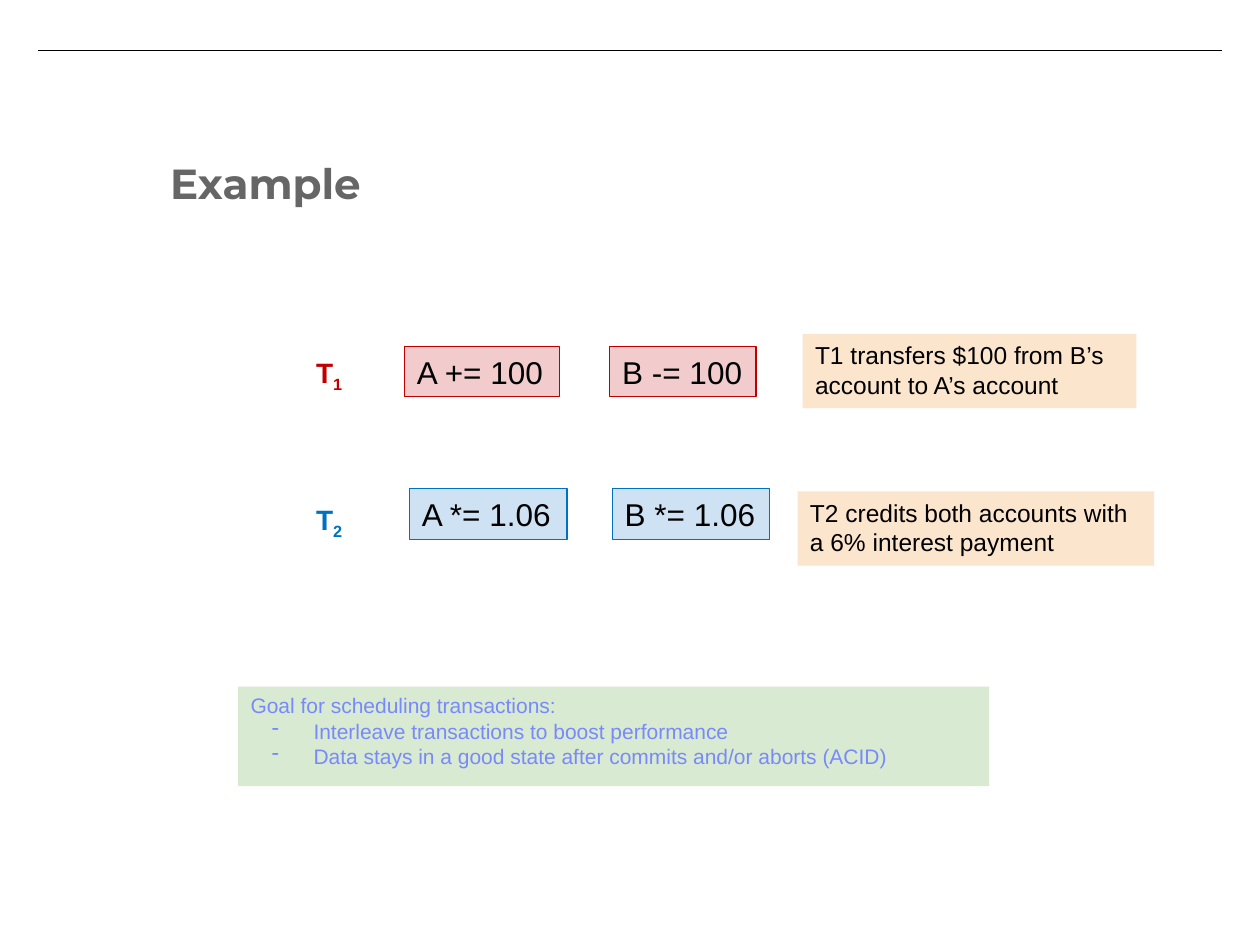
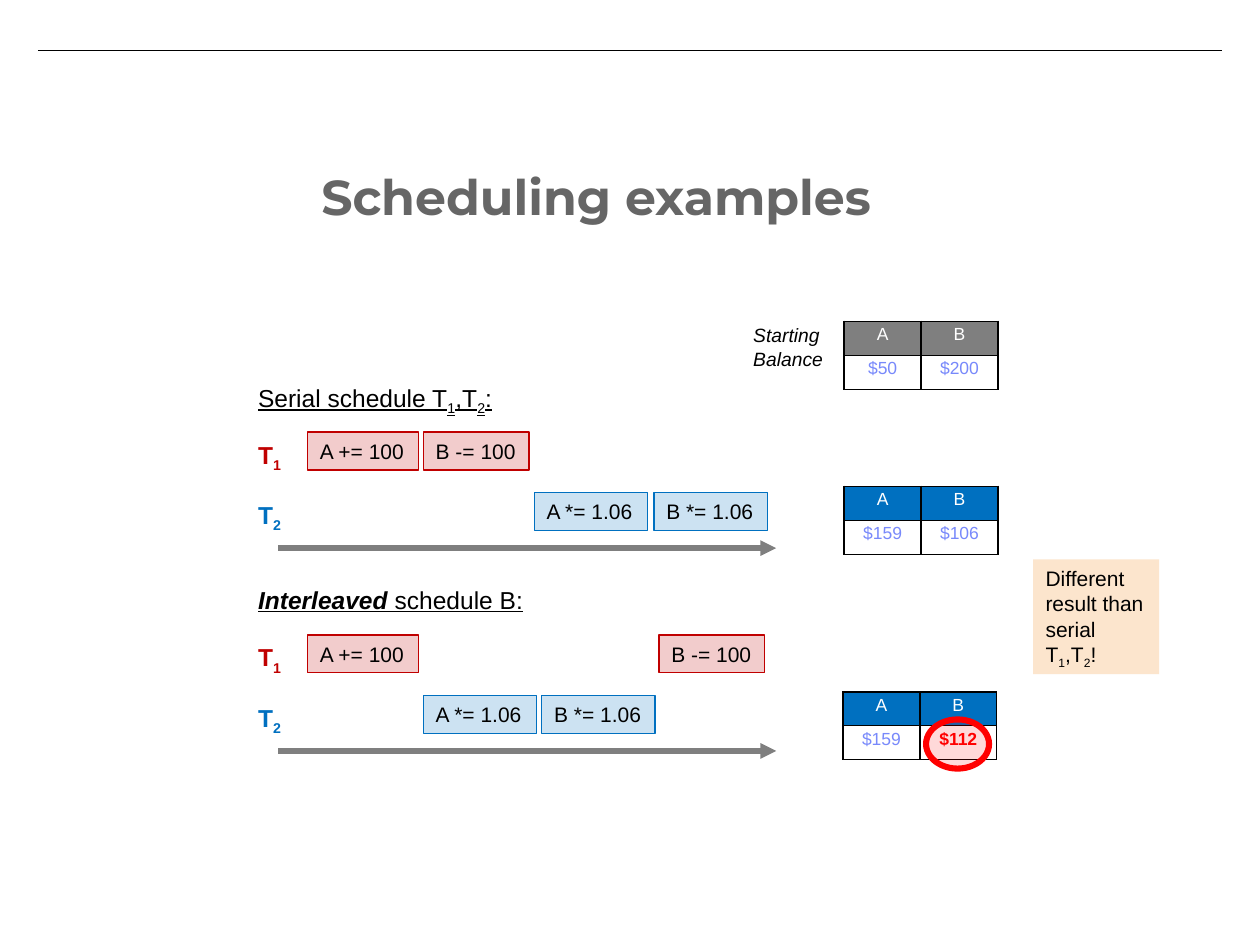
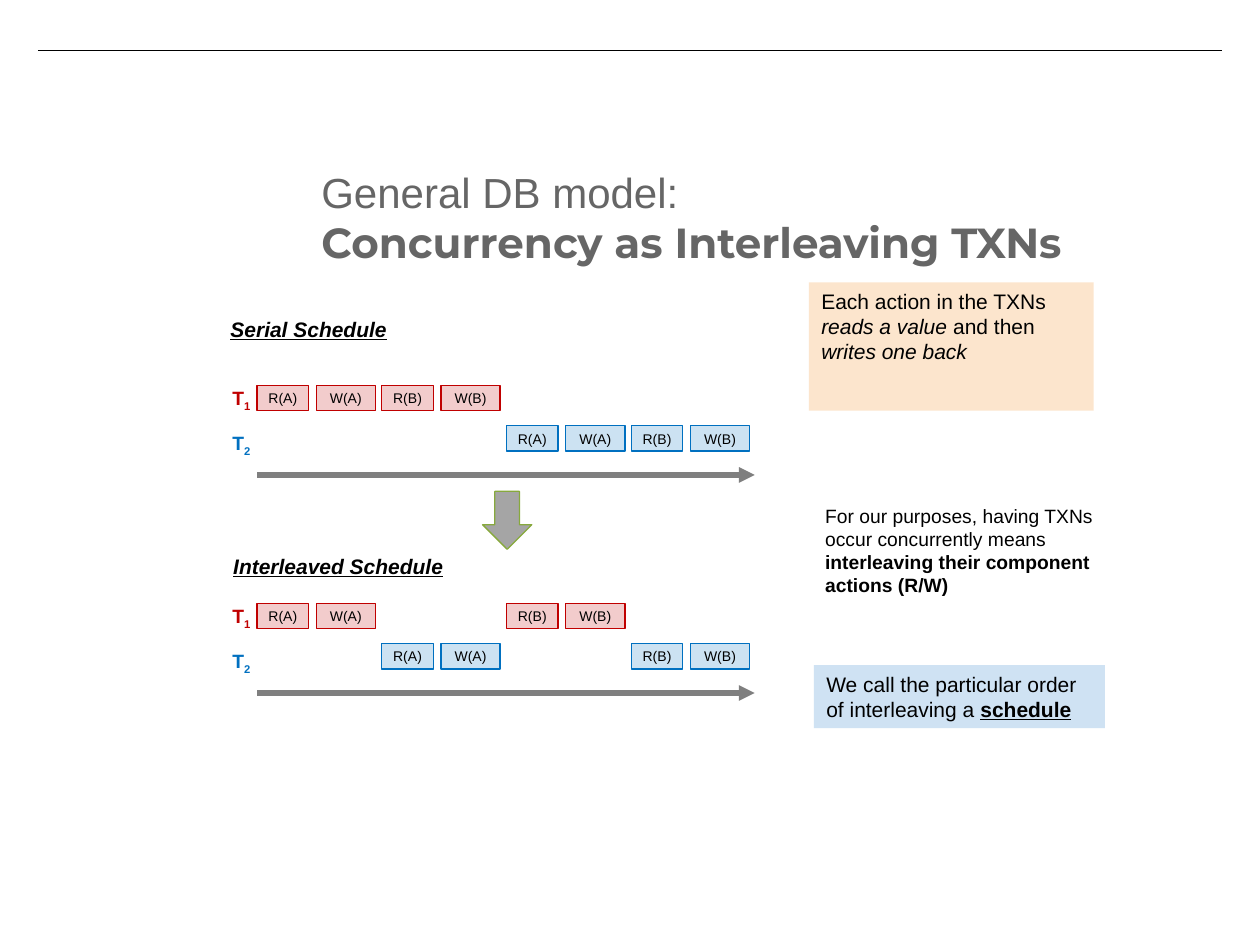
import pptx
import pptx.dml.color
import pptx.enum.shapes
import pptx.enum.text
import pptx.oxml.ns
import pptx.util
from lxml import etree

Inches, Pt = pptx.util.Inches, pptx.util.Pt
RGB = pptx.dml.color.RGBColor.from_string
SHAPE = pptx.enum.shapes.MSO_SHAPE
STRAIGHT = pptx.enum.shapes.MSO_CONNECTOR.STRAIGHT
ALIGN = pptx.enum.text.PP_ALIGN
ANCHOR = pptx.enum.text.MSO_ANCHOR
qn = pptx.oxml.ns.qn

C = {
    "black": "000000", "white": "FFFFFF", "title": "666666", "grey": "7F7F7F",
    "t1": "C00000", "t2": "0070C0", "alert": "FF0000", "lilac": "7889FB",
    "peach": "FCE5CD", "sky": "CFE2F3", "mint": "D9EAD3",
    "arrow": "A5A5A5", "arrow edge": "87A93D",
}


def write(tf, text, size=12, color="black", font="Arial", bold=False,
          align=ALIGN.LEFT, bullet_from=None):
    """Fill tf with paragraphs: strings or lists of (text, flags), where the
    flags are b(old), i(talic), u(nderline) and s(ubscript)."""
    for n, runs in enumerate([text] if isinstance(text, str) else text):
        p = tf.paragraphs[0] if n == 0 else tf.add_paragraph()
        p.alignment = align
        if bullet_from is not None and n >= bullet_from:
            pPr = p._p.get_or_add_pPr()
            pPr.set("marL", str(Inches(0.5)))
            pPr.set("indent", str(Inches(-0.33)))
            etree.SubElement(pPr, qn("a:buChar")).set("char", "-")
        for words, flags in [(runs, "")] if isinstance(runs, str) else runs:
            r = p.add_run()
            r.text = words
            r.font.name, r.font.size = font, Pt(size)
            r.font.color.rgb = RGB(C[color])
            r.font.bold = bold or "b" in flags
            r.font.italic = "i" in flags
            r.font.underline = "u" in flags
            if "s" in flags:
                r.font._element.set("baseline", "-25000")


def box(slide, x, y, w, h, text=None, kind=SHAPE.RECTANGLE, fill=None, alpha=None,
        line=None, line_width=0.75, wrap=True, centred=False, **text_format):
    """Add a shape, or a text box if it has neither fill nor line."""
    place = [Inches(v) for v in (x, y, w, h)]
    if fill or line:
        sp = slide.shapes.add_shape(kind, *place)
        sp.shadow.inherit = False
        sp.fill.solid()
        sp.fill.fore_color.rgb = RGB(C[fill])
        if alpha:
            color = sp.fill._xPr.find(".//" + qn("a:srgbClr"))
            etree.SubElement(color, qn("a:alpha")).set("val", str(alpha * 1000))
        if line:
            sp.line.color.rgb = RGB(C[line])
            sp.line.width = Pt(line_width)
        else:
            sp.line.fill.background()
    else:
        sp = slide.shapes.add_textbox(*place)
    if text:
        tf = sp.text_frame
        tf.word_wrap = wrap
        tf.margin_left = tf.margin_right = Inches(0 if centred else 0.1)
        tf.margin_top = tf.margin_bottom = Inches(0.05)
        tf.vertical_anchor = ANCHOR.MIDDLE if centred else ANCHOR.TOP
        write(tf, text, align=ALIGN.CENTER if centred else ALIGN.LEFT, **text_format)
    return sp


prs = pptx.Presentation()
prs.slide_width, prs.slide_height = Inches(10), Inches(7.5)

# Slides and their titles
titles = [
    (["Example"], 24, 1.25, 1.15, 7.77),
    (["Scheduling examples"], 28, 2.45, 1.22, 7.31),
    (["General DB model:", "Concurrency as Interleaving TXNs"], 24, 2.45, 1.22, 7.42),
]
for text, size, x, y, w in titles:
    slide = prs.slides.add_slide(prs.slide_layouts[5])
    title = slide.shapes.title
    title.left, title.top, title.width, title.height = map(Inches, (x, y, w, 1.27))
    tf = title.text_frame
    tf.auto_size = pptx.enum.text.MSO_AUTO_SIZE.NONE
    tf.word_wrap, tf.vertical_anchor = True, ANCHOR.TOP
    tf.margin_left = tf.margin_right = tf.margin_top = tf.margin_bottom = Inches(0.1)
    write(tf, text, size=size, color="title", font="Montserrat", bold=True)
example, scheduling, model = prs.slides
lead = model.shapes.title.text_frame.paragraphs[0].runs[0].font
lead.name, lead.bold = "Arial", False

# The rule goes to the master; the time axes stay on their slides
SERIAL_Y, MIXED_Y = 3.43, 5.04
SERIAL_MODEL_Y, MIXED_MODEL_Y = 3.06, 4.79
lines = [(example, 0.3, 9.7, 0.4, "black", 0.75)]
lines += [(scheduling, 2.21, 6.16, y + 0.92, "grey", 3) for y in (SERIAL_Y, MIXED_Y)]
lines += [(model, 2.04, 5.99, y + 0.71, "grey", 3) for y in (SERIAL_MODEL_Y, MIXED_MODEL_Y)]
for slide, x1, x2, y, color, width in lines:
    line = slide.shapes.add_connector(STRAIGHT, Inches(x1), Inches(y), Inches(x2), Inches(y))
    line.line.color.rgb = RGB(C[color])
    line.line.width = Pt(width)
    if color == "grey":
        etree.SubElement(line.line._get_or_add_ln(), qn("a:tailEnd")).set("type", "triangle")
    else:
        prs.slide_master.shapes.element.append(line.element)
    etree.SubElement(line.element.spPr, qn("a:effectLst"))

# Transaction labels T1 and T2
labels = [(example, 2.41, 2.77, 1.17, 0.42, 16, False)]
labels += [(scheduling, 1.95, y + 0.01, 0.48, 0.39, 14, False) for y in (SERIAL_Y, MIXED_Y)]
labels += [(model, 1.72, y - 0.06, 0.36, 0.39, 11, True) for y in (SERIAL_MODEL_Y, MIXED_MODEL_Y)]
for slide, x, y, step, w, size, centred in labels:
    for n, color in enumerate(("t1", "t2")):
        box(slide, x, y + n * step, w, 0.34, [[("T", ""), (str(n + 1), "s")]],
            size=size, color=color, bold=True, wrap=False, centred=centred)

# Example
for x, y, w, text, fill, alpha, line in [
    (3.21, 2.75, 1.23, "A += 100", "t1", 20, "t1"),
    (4.84, 2.75, 1.16, "B -= 100", "t1", 20, "t1"),
    (3.25, 3.88, 1.25, "A *= 1.06", "sky", None, "t2"),
    (4.86, 3.88, 1.25, "B *= 1.06", "sky", None, "t2"),
]:
    box(example, x, y, w, 0.4, text, fill=fill, alpha=alpha, line=line, size=18, wrap=False)
box(example, 6.37, 2.65, 2.65, 0.59, "T1 transfers $100 from B’s account to A’s account",
    fill="peach", size=14)
box(example, 6.33, 3.9, 2.83, 0.59, "T2 credits both accounts with a 6% interest payment",
    fill="peach", size=14)
box(example, 1.89, 5.45, 5.96, 0.79,
    ["Goal for scheduling transactions:",
     "Interleave transactions to boost performance",
     "Data stays in a good state after commits and/or aborts (ACID)"],
    fill="mint", color="lilac", bullet_from=1)

# Scheduling examples
steps = {"A += 100": ("t1", 0.88), "B -= 100": ("t1", 0.84),
         "A *= 1.06": ("t2", 0.9), "B *= 1.06": ("t2", 0.9)}
for y, starts in [(SERIAL_Y, (2.44, 3.36, 4.24, 5.19)), (MIXED_Y, (2.44, 5.23, 3.36, 4.3))]:
    for x, (text, (color, w)) in zip(starts, steps.items()):
        box(scheduling, x, y + (0.48 if color == "t2" else 0), w, 0.3, text,
            fill=color, alpha=20, line=color, wrap=False)
t1_t2 = [("1", "s"), (",T", ""), ("2", "s")]
box(scheduling, 1.95, SERIAL_Y - 0.44, 2.09, 0.34,
    [[(words, flags + "u") for words, flags in [("Serial schedule T", ""), *t1_t2, (":", "")]]],
    size=14)
box(scheduling, 1.95, MIXED_Y - 0.45, 2.31, 0.34,
    [[("Interleaved ", "biu"), ("schedule B:", "u")]], size=14)
box(scheduling, 5.88, 2.52, 0.77, 0.47, [[("Starting Balance", "i")]], size=11)
box(scheduling, 8.2, 4.44, 1, 0.91,
    [[("Different result than serial T", ""), *t1_t2, ("!", "")]], fill="peach")

for x, y, header, balances in [
    (6.7, 2.55, "grey", ("$50", "$200")),
    (6.7, 3.86, "t2", ("$159", "$106")),
    (6.69, 5.49, "t2", ("$159", "$112")),
]:
    table = scheduling.shapes.add_table(
        2, 2, Inches(x), Inches(y), Inches(1.22), Inches(0.54)).table
    for row, texts in enumerate((("A", "B"), balances)):
        for col, text in enumerate(texts):
            cell = table.cell(row, col)
            cell.margin_left = cell.margin_right = Inches(0.06)
            cell.margin_top = cell.margin_bottom = Inches(0.03)
            for side in "LRTB":
                ln = etree.SubElement(cell._tc.get_or_add_tcPr(), qn("a:ln" + side),
                                      w=str(Pt(1)))
                fill = etree.SubElement(ln, qn("a:solidFill"))
                etree.SubElement(fill, qn("a:srgbClr")).set("val", C["black"])
            if row == 0:
                cell.fill.solid()
                cell.fill.fore_color.rgb = RGB(C[header])
            else:
                cell.fill.background()
            wrong = text == "$112"
            color = "white" if row == 0 else "alert" if wrong else "lilac"
            write(cell.text_frame, text, size=10, color=color, bold=wrong, align=ALIGN.CENTER)
box(scheduling, 7.35, 5.71, 0.5, 0.39, kind=SHAPE.OVAL, fill="alert", alpha=15,
    line="alert", line_width=3.5)

# General DB model: each transaction reads and writes A, then B, in a time slot
for y, slots in [(SERIAL_MODEL_Y, {"t1": (0, 1), "t2": (2, 3)}),
                 (MIXED_MODEL_Y, {"t1": (0, 2), "t2": (1, 3)})]:
    for color, pair in slots.items():
        for item, slot in zip("AB", pair):
            for action, dx, w in (("R", 0, 0.41), ("W", 0.47, 0.47)):
                box(model, 2.04 + 0.99 * slot + dx, y + (0.32 if color == "t2" else 0), w, 0.2,
                    f"{action}({item})", fill=color, alpha=20, line=color,
                    size=8, wrap=False, centred=True)
for x, y, w, text in [(1.7, 2.46, 1.5, "Serial Schedule"),
                      (1.72, 4.34, 1.93, "Interleaved Schedule")]:
    box(model, x, y, w, 0.3, [[(text, "biu")]], centred=True)
box(model, 3.83, 3.9, 0.39, 0.46, kind=SHAPE.DOWN_ARROW, fill="arrow", line="arrow edge")
box(model, 6.42, 2.24, 2.26, 1.02,
    [[("Each action in the TXNs ", ""), ("reads a value ", "i"),
      ("and then ", ""), ("writes one back", "i")]], fill="peach")
box(model, 6.45, 3.95, 2.69, 2.5,
    [[("For our purposes, having TXNs occur concurrently means ", ""),
      ("interleaving their component actions (R/W)", "b")]], size=11)
box(model, 6.46, 5.28, 2.31, 0.5,
    [[("We call the particular order of interleaving a ", ""), ("schedule", "bu")]], fill="sky")

prs.save("out.pptx")
